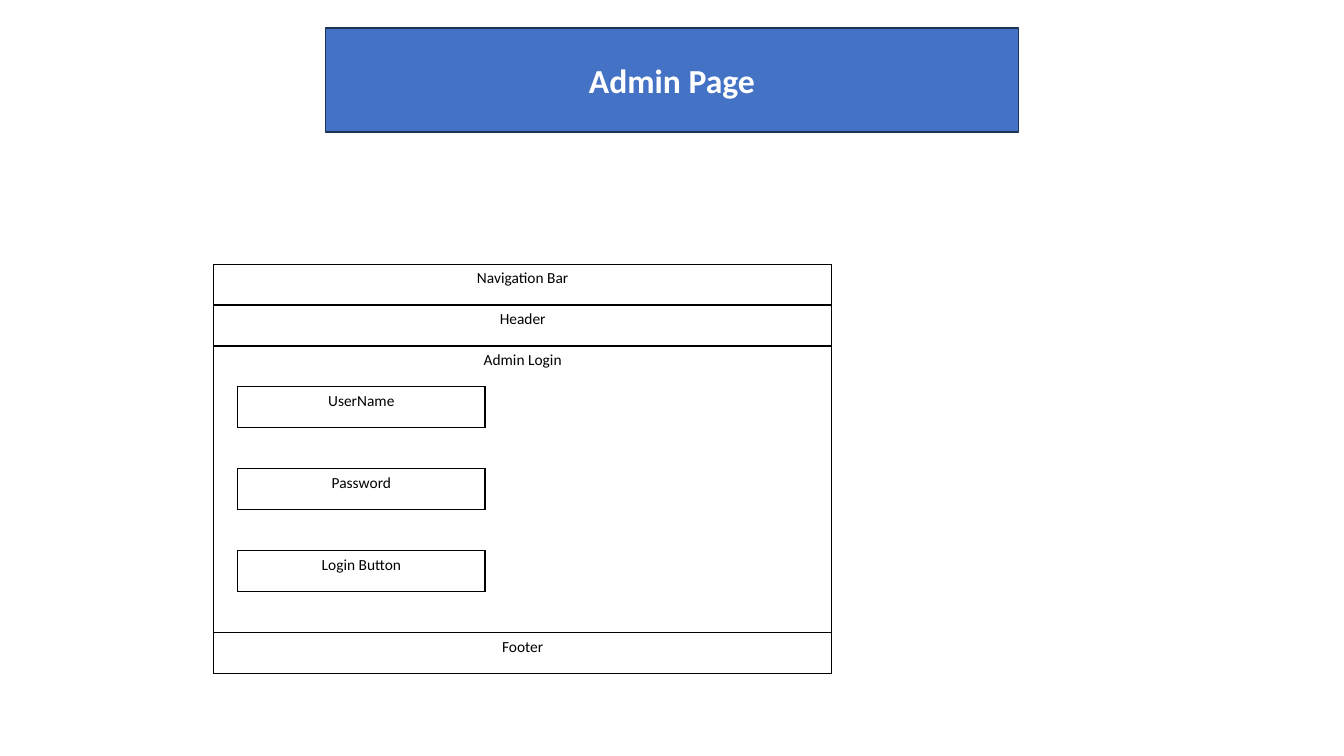
import pptx
import pptx.dml.color
import pptx.enum.shapes
import pptx.enum.text
import pptx.oxml.ns
import pptx.util
from lxml import etree

Inches, Pt = pptx.util.Inches, pptx.util.Pt

TITLE = "Admin Page"
TITLE_BOX = (3.23, 0.28, 6.87, 1.03)
TABLE_LEFT, TABLE_TOP = 2.12, 2.62
COLUMNS = [0.23, 2.45, 0.39, 2.81, 0.23]
ROW_COUNT, TABLE_HEIGHT = 10, 4.06
BANNERS = {0: "Navigation Bar", 1: "Header", 2: "Admin Login", 9: "Footer"}
FIELDS = {3: "UserName", 5: "Password", 7: "Login Button"}
FIELD_COLUMN = 1

# Outlined areas of the page: first row, first column, end row, end column
END = len(COLUMNS)
OUTLINES = [(0, 0, 1, END), (1, 0, 2, END), (2, 0, 9, END), (9, 0, 10, END)]
OUTLINES += [(row, FIELD_COLUMN, row + 1, FIELD_COLUMN + 1) for row in FIELDS]


def color(value):
    return pptx.dml.color.RGBColor.from_string(value)


def write(frame, text, size, value, bold=False):
    frame.text = text
    para = frame.paragraphs[0]
    para.alignment = pptx.enum.text.PP_ALIGN.CENTER
    font = para.runs[0].font
    font.name, font.size, font.bold = "Calibri", Pt(size), bold
    font.color.rgb = color(value)


def has_line(row, column, vertical):
    """Tell whether an outline runs along the top (or left) edge of a cell."""
    for top, left, bottom, right in OUTLINES:
        if vertical and column in (left, right) and top <= row < bottom:
            return True
        if not vertical and row in (top, bottom) and left <= column < right:
            return True
    return False


def set_border(cell, side, visible):
    qn = pptx.oxml.ns.qn
    properties = cell._tc.get_or_add_tcPr()
    line = etree.SubElement(properties, qn("a:ln" + side), w=str(Pt(1)))
    if visible:
        fill = etree.SubElement(line, qn("a:solidFill"))
        etree.SubElement(fill, qn("a:srgbClr"), val="000000")
    else:
        etree.SubElement(line, qn("a:noFill"))


def add_title(page):
    box = page.shapes.add_shape(pptx.enum.shapes.MSO_SHAPE.RECTANGLE,
                                *map(Inches, TITLE_BOX))
    box.shadow.inherit = False
    box.fill.solid()
    box.fill.fore_color.rgb = color("4472C4")
    box.line.color.rgb = color("1E3256")
    box.line.width = Pt(1)
    box.text_frame.vertical_anchor = pptx.enum.text.MSO_ANCHOR.MIDDLE
    write(box.text_frame, TITLE, 24, "FFFFFF", bold=True)


def add_layout_table(page):
    table = page.shapes.add_table(
        ROW_COUNT, len(COLUMNS), Inches(TABLE_LEFT), Inches(TABLE_TOP),
        Inches(sum(COLUMNS)), Inches(TABLE_HEIGHT)).table
    table.first_row = table.horz_banding = False
    for column, width in zip(table.columns, COLUMNS):
        column.width = Inches(width)
    for row in range(ROW_COUNT):
        table.rows[row].height = Inches(TABLE_HEIGHT / ROW_COUNT)
        for column in range(len(COLUMNS)):
            cell = table.cell(row, column)
            right = END if row in BANNERS else column + 1
            set_border(cell, "L", has_line(row, column, True))
            set_border(cell, "R", has_line(row, right, True))
            set_border(cell, "T", has_line(row, column, False))
            set_border(cell, "B", has_line(row + 1, column, False))
            cell.fill.background()
    for row, text in BANNERS.items():
        table.cell(row, 0).merge(table.cell(row, END - 1))
        write(table.cell(row, 0).text_frame, text, 11, "000000")
    for row, text in FIELDS.items():
        write(table.cell(row, FIELD_COLUMN).text_frame, text, 11, "000000")


def main():
    deck = pptx.Presentation()
    deck.slide_width, deck.slide_height = Inches(13.33), Inches(7.5)
    page = deck.slides.add_slide(deck.slide_layouts[6])
    add_title(page)
    add_layout_table(page)
    deck.save("out.pptx")


if __name__ == "__main__":
    main()
